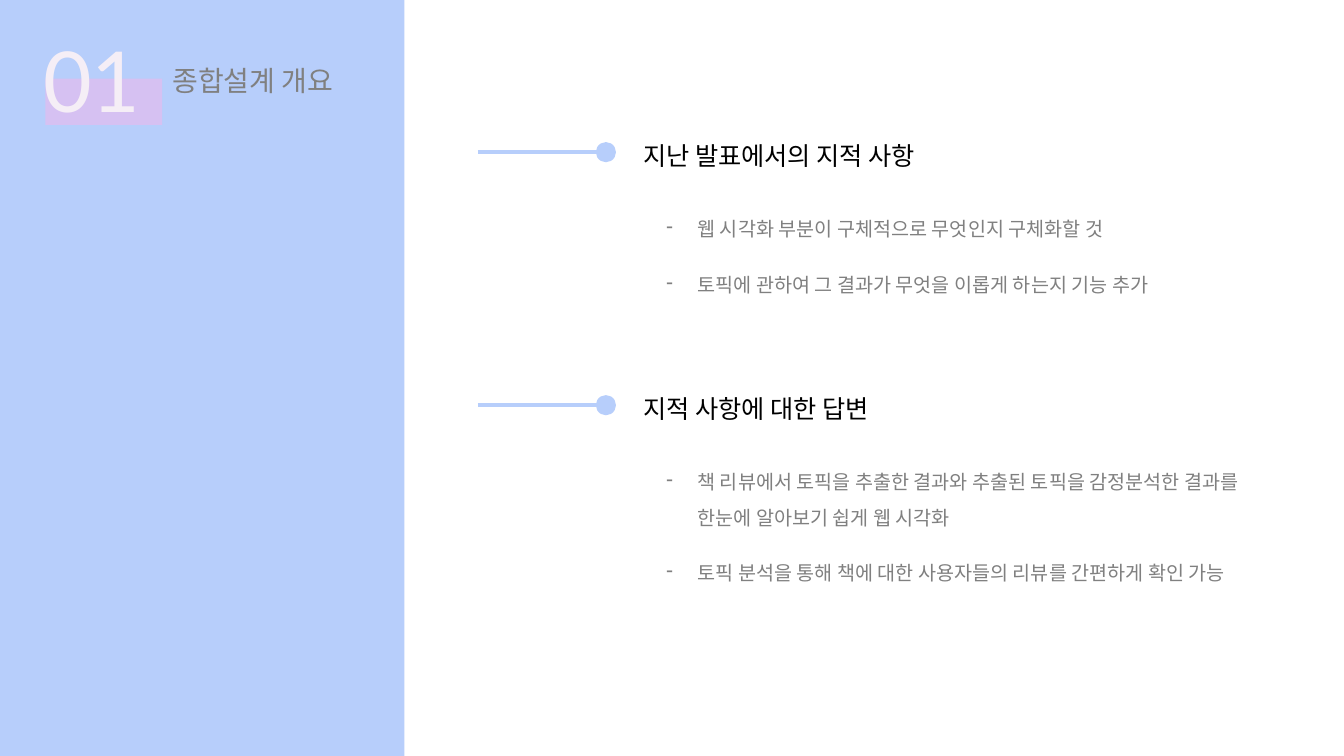
from dataclasses import dataclass

from lxml import etree
from pptx import Presentation
from pptx.dml.color import RGBColor
from pptx.enum import shapes, text
from pptx.oxml import ns
from pptx.util import Inches, Pt

COLORS = {
    "blue": "B7CEFB",
    "lilac": "D6C1F2",
    "pale": "F5EEF6",
    "white": "FFFFFF",
    "black": "000000",
    "gray": "808080",
}


@dataclass
class Topic:
    top: float
    width: float
    height: float
    head: str
    items: list[str]


TOPICS = [
    Topic(1.34, 3.38, 0.96, "지난 발표에서의 지적 사항", [
        "웹 시각화 부분이 구체적으로 무엇인지 구체화할 것",
        "토픽에 관하여 그 결과가 무엇을 이롭게 하는지 기능 추가",
    ]),
    Topic(3.85, 2.99, 1.67, "지적 사항에 대한 답변", [
        "책 리뷰에서 토픽을 추출한 결과와 추출된 토픽을 감정분석한 결과를 "
        "한눈에 알아보기 쉽게 웹 시각화",
        "토픽 분석을 통해 책에 대한 사용자들의 리뷰를 간편하게 확인 가능",
    ]),
]


def color(name: str) -> RGBColor:
    return RGBColor.from_string(COLORS[name])


def add_run(para, words: str, size: float, font: str, tint: str) -> None:
    run = para.add_run()
    run.text = words
    run.font.size = Pt(size)
    run.font.name = font
    run.font.color.rgb = color(tint)


def add_box(slide, x: float, y: float, w: float, h: float):
    """Add an empty wrapping text box and return its text frame."""
    box = slide.shapes.add_textbox(Inches(x), Inches(y), Inches(w), Inches(h))
    box.text_frame.word_wrap = True
    return box.text_frame


def add_solid(slide, kind, x: float, y: float, w: float, h: float, tint: str) -> None:
    """Add a filled shape with no outline and no shadow."""
    shape = slide.shapes.add_shape(kind, Inches(x), Inches(y), Inches(w), Inches(h))
    shape.shadow.inherit = False
    shape.fill.solid()
    shape.fill.fore_color.rgb = color(tint)
    shape.line.fill.background()


def add_title(slide, words: str) -> None:
    title = slide.shapes.title
    title.left, title.top = Inches(1.61), Inches(0.58)
    title.width, title.height = Inches(3.38), Inches(0.44)
    frame = title.text_frame
    frame.auto_size = text.MSO_AUTO_SIZE.NONE
    frame.vertical_anchor = text.MSO_ANCHOR.TOP
    para = frame.paragraphs[0]
    para.alignment = text.PP_ALIGN.LEFT
    add_run(para, words, 20, "Lato", "gray")


def add_marker(slide, y: float) -> None:
    """Draw the line that ends in a dot, centred on height y."""
    line = slide.shapes.add_connector(
        shapes.MSO_CONNECTOR.STRAIGHT,
        Inches(4.74), Inches(y), Inches(5.93), Inches(y))
    line.line.color.rgb = color("blue")
    line.line.width = Pt(3)
    etree.SubElement(line._element.spPr, ns.qn("a:effectLst"))
    add_solid(slide, shapes.MSO_SHAPE.OVAL, 5.91, y - 0.1, 0.2, 0.2, "blue")


def add_dash(para) -> None:
    props = para._p.get_or_add_pPr()
    props.set("marL", str(Inches(0.31)))
    props.set("indent", str(-Inches(0.31)))
    etree.SubElement(props, ns.qn("a:buChar")).set("char", "-")


def add_topic(slide, topic: Topic) -> None:
    add_marker(slide, topic.top + 0.17)
    head = add_box(slide, 6.28, topic.top, topic.width, 0.4)
    add_run(head.paragraphs[0], topic.head, 18, "Calibri", "black")

    body = add_box(slide, 6.51, topic.top + 0.65, 6.01, topic.height)
    for i, item in enumerate(topic.items):
        para = body.add_paragraph() if i else body.paragraphs[0]
        add_dash(para)
        para.line_spacing = 1.5
        if i:
            para.space_before = Pt(14.5)
        add_run(para, item, 14, "Calibri", "gray")


def main() -> None:
    deck = Presentation()
    deck.slide_width, deck.slide_height = Inches(13.33), Inches(7.5)
    slide = deck.slides.add_slide(deck.slide_layouts[5])
    back = slide.background.fill
    back.solid()
    back.fore_color.rgb = color("blue")

    rect = shapes.MSO_SHAPE.RECTANGLE
    add_solid(slide, rect, 0.45, 0.78, 1.16, 0.46, "lilac")
    number = add_box(slide, 0.33, 0.23, 1.28, 1.11)
    add_run(number.paragraphs[0], "01", 60, "Lato", "pale")
    add_solid(slide, rect, 4.01, 0, 9.32, 7.5, "white")
    add_title(slide, "종합설계 개요")
    for topic in TOPICS:
        add_topic(slide, topic)
    deck.save("out.pptx")


if __name__ == "__main__":
    main()
